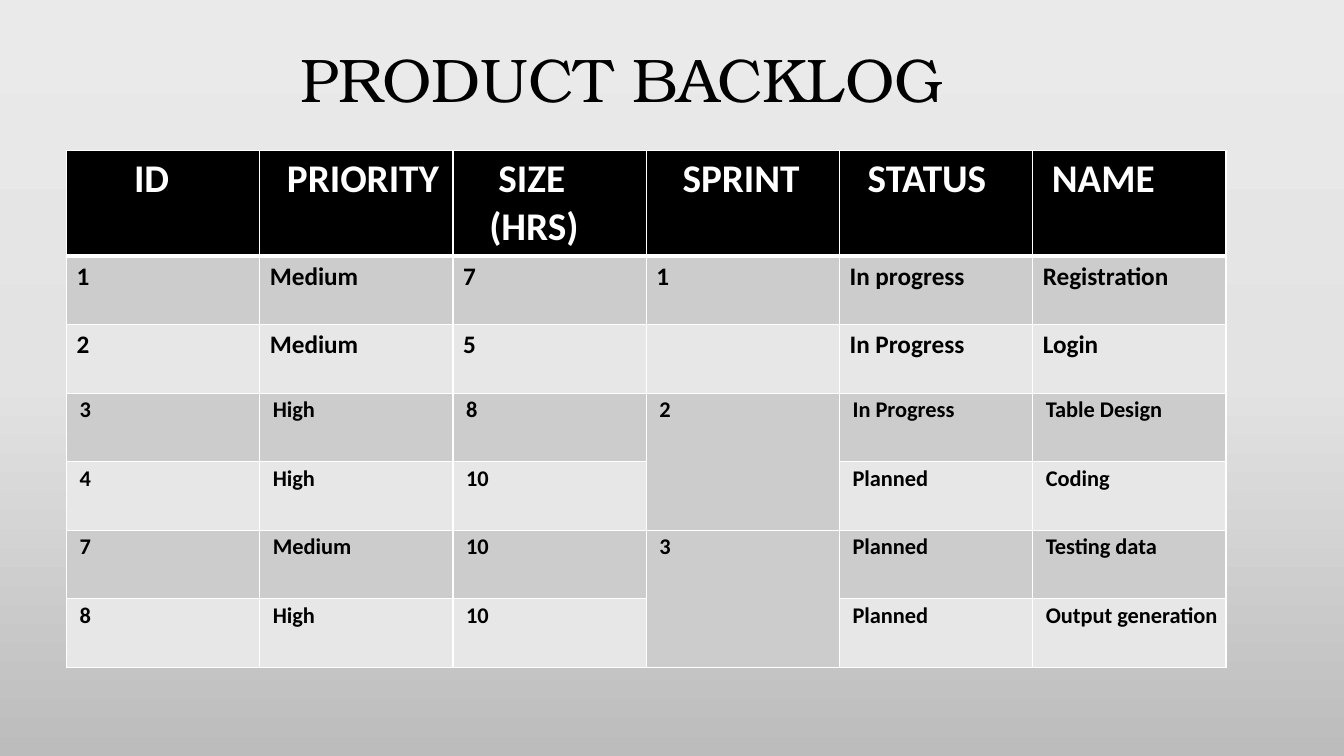
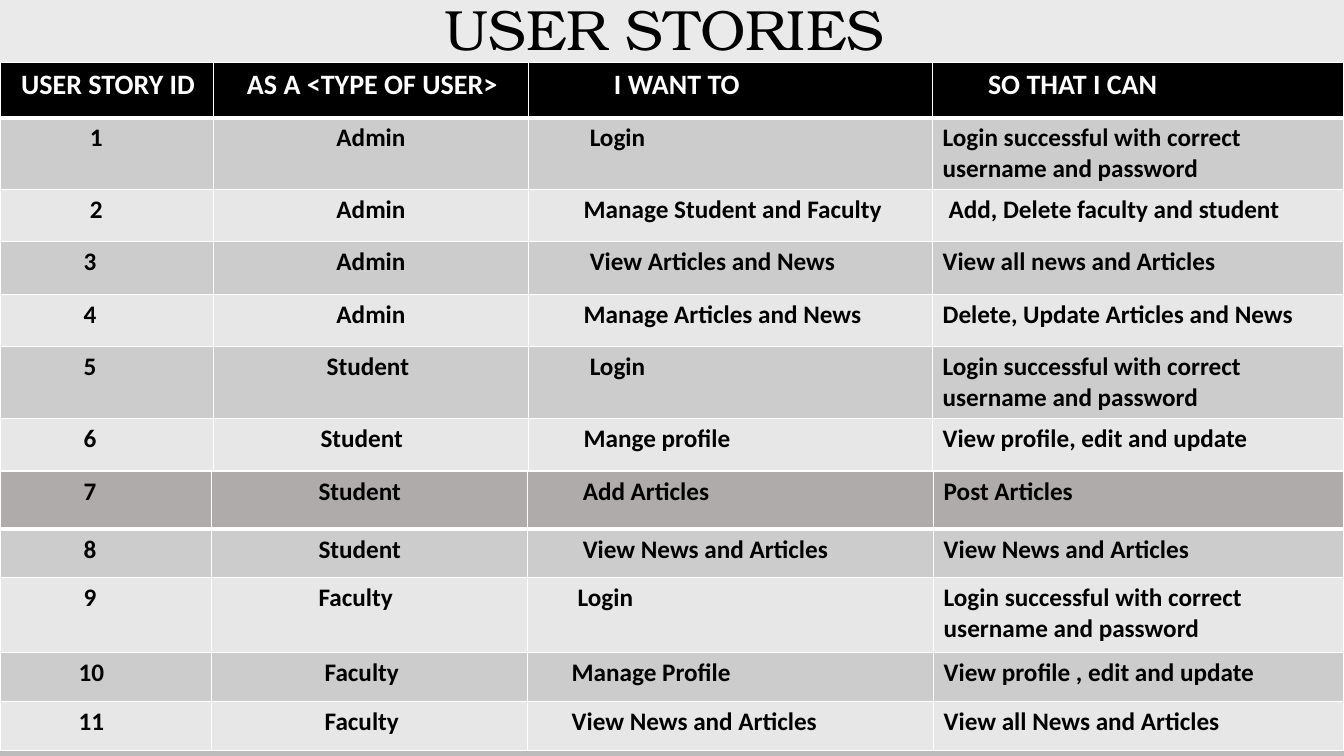
from copy import deepcopy

from pptx import Presentation
from pptx import util as u
from pptx.dml.color import RGBColor
from pptx.enum import text
from pptx.oxml import parse_xml
from pptx.oxml.ns import nsdecls, qn

WIDTH, HEIGHT = 13.33, 7.5
TITLE_FONT, BODY_FONT = "TeX Gyre Bonum", "Calibri"
BLACK, WHITE, GREY = "000000", "FFFFFF", "AFABAB"
BANDS = ["CCCCCC", "E7E7E7"]
BACKDROP = [(0, "EBEAEA"), (0.5, "E4E3E3"), (1, "BDBCBC")]
CENTRED = None  # used in place of an indent

# Each row: cell texts, then cell indents in inches (one per line of text)
BACKLOG_HEAD = (["ID", "PRIORITY", "SIZE\n(HRS)", "SPRINT", "STATUS", "NAME"],
                [0.57, 0.17, (0.35, 0.26), 0.26, 0.18, 0.09])
BACKLOG_TOP = [
    ["1", "Medium", "7", "1", "In progress", "Registration"],
    ["2", "Medium", "5", "", "In Progress", "Login"],
]
BACKLOG_REST = [
    ["3", "High", "8", "2", "In Progress", "Table Design"],
    ["4", "High", "10", "", "Planned", "Coding"],
    ["7", "Medium", "10", "3", "Planned", "Testing data"],
    ["8", "High", "10", "", "Planned", "Output generation"],
]
SPRINT_COLUMN, SPRINT_STARTS = 3, (3, 5)

LOGIN_GOAL = "Login successful with correct username and password"
STORY_HEAD = (["USER STORY ID", "AS A <TYPE OF USER>", "I WANT TO", "SO THAT I CAN"],
              [0.11, 0.23, 0.75, 0.45])
STORIES = [
    (["1", "Admin", "Login", LOGIN_GOAL], [0.79, CENTRED, 0.51, 0]),
    (["2", "Admin", "Manage Student and Faculty", "Add, Delete faculty and student"],
     [0.79, CENTRED, 0.45, 0.06]),
    (["3", "Admin", "View Articles and News", "View all news and Articles"],
     [0.73, CENTRED, 0.51, 0]),
    (["4", "Admin", "Manage Articles and News", "Delete, Update Articles and News"],
     [0.73, CENTRED, 0.45, 0]),
    (["5", "Student", "Login", LOGIN_GOAL], [0.73, 1.02, 0.51, 0]),
    (["6", "Student", "Mange profile", "View profile, edit and update"],
     [0.73, 0.96, 0.45, 0]),
    ([""] * 4, [0] * 4),
]
MORE_STORIES = [
    (["7", "Student", "Add Articles", "Post Articles"], [0.73, 0.96, 0.45, 0]),
    (["8", "Student", "View News and Articles", "View News and Articles"],
     [0.73, 0.96, 0.45, 0]),
    (["9", "Faculty", "Login", LOGIN_GOAL], [0.73, 0.96, 0.4, 0]),
    (["10", "Faculty", "Manage Profile", "View profile , edit and update"],
     [0.68, 1.02, 0.34, 0]),
    (["11", "Faculty", "View News and Articles", "View all News and Articles"],
     [0.68, 1.02, 0.34, 0]),
]


def rgb(value):
    """Turn a hex string into a colour."""
    return RGBColor.from_string(value)


def style(p, size, color, font=BODY_FONT, bold=True, indent=0):
    """Set the font and the left indent (or centring) of a paragraph."""
    p.font.size, p.font.name, p.font.bold = u.Pt(size), font, bold
    p.font.color.rgb = rgb(color)
    if indent is CENTRED:
        p.alignment = text.PP_ALIGN.CENTER
    elif indent:
        p._p.get_or_add_pPr().set("marL", str(u.Inches(indent)))


def paint_backdrop(master):
    """Give every slide the same vertical grey gradient."""
    fill = master.background.fill
    fill.gradient()
    fill.gradient_angle = 270
    stops = master._element.find(".//" + qn("a:gsLst"))
    stops.append(deepcopy(stops[-1]))
    for stop, (position, color) in zip(fill.gradient_stops, BACKDROP):
        stop.position = position
        stop.color.rgb = rgb(color)


def add_title(s, words, box, size, indent):
    """Add a slide title."""
    tf = s.shapes.add_textbox(*(u.Inches(v) for v in box)).text_frame
    tf.word_wrap = True
    tf.vertical_anchor = text.MSO_ANCHOR.MIDDLE
    p = tf.paragraphs[0]
    p.text, p.line_spacing = words, 0.9
    style(p, size, BLACK, TITLE_FONT, False, indent)


def add_borders(cell, top, bottom):
    """Draw white cell borders; top and bottom widths are in points."""
    pr = cell._tc.get_or_add_tcPr()
    for i, (side, width) in enumerate([("L", 1), ("R", 1), ("T", top), ("B", bottom)]):
        pr.insert(i, parse_xml(
            f'<a:ln{side} {nsdecls("a")} w="{u.Pt(width)}"><a:solidFill>'
            f'<a:srgbClr val="{WHITE}"/></a:solidFill></a:ln{side}>'))


def add_grid(s, left, top, columns, heights, rows, head, small_from=None):
    """Add a banded table; head is (fill, font colour, size) of the first row."""
    sizes = [sum(columns), sum(heights)]
    table = s.shapes.add_table(len(rows), len(columns),
                               *(u.Inches(v) for v in [left, top] + sizes)).table
    for column, width in zip(table.columns, columns):
        column.width = u.Inches(width)
    for i, (words, indents) in enumerate(rows):
        table.rows[i].height = u.Inches(heights[i])
        small = small_from is not None and i >= small_from
        body = (BANDS[(i - 1) % 2], BLACK, 16 if small else 18)
        fill, color, size = body if i else head
        for j, (word, indent) in enumerate(zip(words, indents)):
            cell = table.cell(i, j)
            cell.fill.solid()
            cell.fill.fore_color.rgb = rgb(fill)
            add_borders(cell, 3 if i == 1 else 1, 1 if i else 3)
            if small:
                cell.margin_left = cell.margin_right = u.Inches(0.06)
                cell.margin_top = cell.margin_bottom = u.Inches(0.03)
            cell.text = word
            steps = indent if isinstance(indent, tuple) else (indent,)
            for p, step in zip(cell.text_frame.paragraphs, steps):
                style(p, size, color, indent=step)
    return table


prs = Presentation()
prs.slide_width, prs.slide_height = u.Inches(WIDTH), u.Inches(HEIGHT)
paint_backdrop(prs.slide_master)
blank = prs.slide_layouts[6]

s = prs.slides.add_slide(blank)
add_title(s, "PRODUCT BACKLOG", (0.92, 0.15, 11.5, 1.34), 44, 1.96)
backlog = [BACKLOG_HEAD]
backlog += [(words, [0] * 6) for words in BACKLOG_TOP]
backlog += [(words, [0.07] * 6) for words in BACKLOG_REST]
table = add_grid(s, 0.66, 1.49, [11.5 / 6] * 6, [1.05] + [0.68] * 6, backlog,
                 (BLACK, WHITE, 28), small_from=1 + len(BACKLOG_TOP))
for row in SPRINT_STARTS:
    table.cell(row, SPRINT_COLUMN).merge(table.cell(row + 1, SPRINT_COLUMN))

s = prs.slides.add_slide(blank)
add_title(s, "USER STORIES", (0.89, -0.14, 11.5, 0.91), 40.5, 3.42)
story_heights = [0.71 if LOGIN_GOAL in words else 0.52 for words, _ in STORIES]
add_grid(s, 0, 0.62, [2.12, 3.12, 4.01, 4.08], [0.55] + story_heights,
         [STORY_HEAD] + STORIES, (BLACK, WHITE, 20))
add_grid(s, 0, 4.68, [2.1, 3.13, 4.03, 4.07], [0.57, 0.48, 0.74, 0.49, 0.49],
         MORE_STORIES, (GREY, BLACK, 18))

prs.save("out.pptx")
